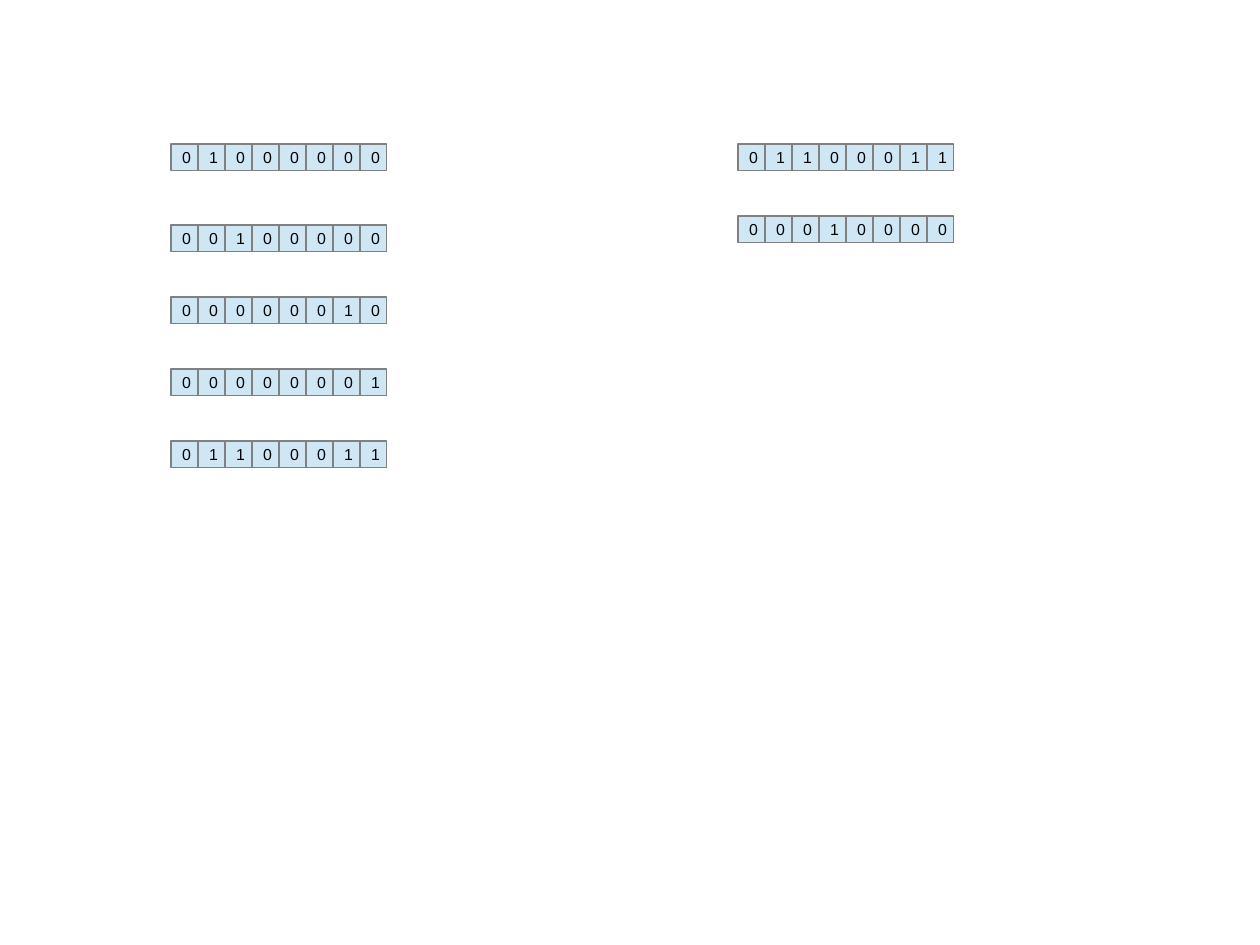
from pptx import Presentation
from pptx.dml.color import RGBColor
from pptx.enum.shapes import MSO_SHAPE as Shape
from pptx.enum.text import MSO_ANCHOR as Anchor, PP_ALIGN as Align
from pptx.util import Inches, Pt

# Each group, in centimetres: left edge, top edge of its first byte, and its bytes
BYTE_GROUPS = [
    (3.8, 3.2, ["01000000"]),
    (3.8, 5.0, ["00100000", "00000010", "00000001", "01100011"]),
    (16.4, 3.2, ["01100011", "00010000"]),
]
COLORS = {"cell": "CFE7F5", "border": "808080", "digit": "000000"}

PAGE_WIDTH, PAGE_HEIGHT = 28, 21
BIT_SIZE = 0.6
BYTE_STEP = 1.6
CM_PER_INCH = 2.54


def metric(centimetres):
    return Inches(centimetres / CM_PER_INCH)


def color(name):
    return RGBColor.from_string(COLORS[name])


def add_bit(slide, digit, left, top):
    cell = slide.shapes.add_shape(
        Shape.RECTANGLE, metric(left), metric(top), metric(BIT_SIZE), metric(BIT_SIZE))
    cell.shadow.inherit = False
    cell.fill.solid()
    cell.fill.fore_color.rgb = color("cell")
    cell.line.color.rgb = color("border")
    cell.line.width = Pt(0)

    frame = cell.text_frame
    frame.word_wrap = True
    frame.vertical_anchor = Anchor.MIDDLE
    paragraph = frame.paragraphs[0]
    paragraph.alignment = Align.CENTER
    run = paragraph.add_run()
    run.text = digit
    run.font.name = "Arial"
    run.font.size = Pt(10)
    run.font.color.rgb = color("digit")


def main():
    deck = Presentation()
    deck.slide_width, deck.slide_height = metric(PAGE_WIDTH), metric(PAGE_HEIGHT)
    slide = deck.slides.add_slide(deck.slide_layouts[6])

    for left, top, byte_rows in BYTE_GROUPS:
        for row, bits in enumerate(byte_rows):
            for column, digit in enumerate(bits):
                add_bit(slide, digit, left + column * BIT_SIZE, top + row * BYTE_STEP)

    deck.save("out.pptx")


if __name__ == "__main__":
    main()
